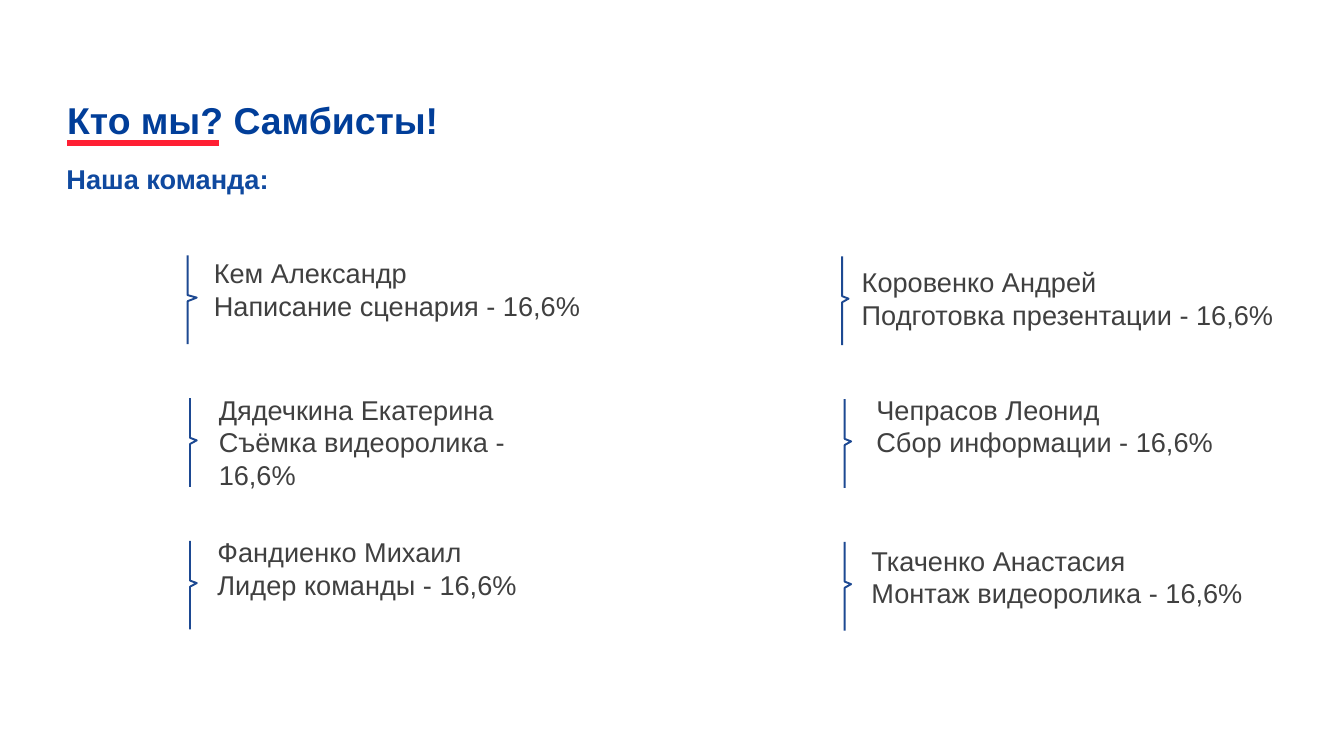
from pptx import Presentation, util as u
from pptx.dml.color import RGBColor
from pptx.enum import shapes, text
from pptx.oxml.ns import qn
from lxml import etree

prs = Presentation()
prs.slide_width, prs.slide_height = u.Inches(21.99), u.Inches(12.37)
s = prs.slides.add_slide(prs.slide_layouts[6])

# Grid of 100 columns by 100 rows
COL, ROW = prs.slide_width / 100, prs.slide_height / 100


def paint(color, value):
    color.rgb = RGBColor.from_string(value)


def add_text(x, y, w, h, lines, size, color, bold=False):
    sp = s.shapes.add_textbox(int(x * COL), int(y * ROW), int(w * COL), int(h * ROW))
    tf = sp.text_frame
    tf.word_wrap = True
    tf.auto_size = text.MSO_AUTO_SIZE.SHAPE_TO_FIT_TEXT
    for i, line in enumerate(lines):
        p = tf.add_paragraph() if i else tf.paragraphs[0]
        r = p.add_run()
        r.text = line
        r.font.name, r.font.size, r.font.bold = "Arial", u.Pt(size), bold
        paint(r.font.color, color)
    return tf


# Title with its red underline
tf = add_text(5, 12.77, 63.35, 5.74, ["Кто мы? Самбисты!"], 44, "013E99", True)
tf.margin_left = tf.margin_right = tf.margin_bottom = 0
tf.margin_top = u.Inches(0.01)
tf.paragraphs[0].line_spacing = 1.01

underline = s.shapes.add_connector(
    shapes.MSO_CONNECTOR.STRAIGHT,
    int(16.28 * COL), int(18.92 * ROW), int(5 * COL), int(18.92 * ROW))
underline.line.width = u.Pt(6)
paint(underline.line.color, "FF1F33")
etree.SubElement(underline._element.spPr, qn("a:effectLst"))

# Subtitle
add_text(4.5, 21.02, 16.55, 5.17, ["Наша команда:"], 32, "0F499F", True)

# Team: text left, top, width; bracket left, tip depth; name, task
team = [
    [(15.46, 33.55, 32.74, 13.96, 0.68, "Кем Александр", "Написание сценария"),
     (15.83, 51.58, 28.42, 14.14, 0.5, "Дядечкина Екатерина", "Съёмка видеоролика"),
     (15.73, 70.41, 32.2, 14.14, 0.5, "Фандиенко Михаил", "Лидер команды")],
    [(63.67, 34.76, 31.79, 62.66, 0.48, "Коровенко Андрей", "Подготовка презентации"),
     (64.76, 51.58, 32.74, 62.85, 0.48, "Чепрасов Леонид", "Сбор информации"),
     (64.39, 71.54, 32.74, 62.85, 0.48, "Ткаченко Анастасия", "Монтаж видеоролика")],
]
for side, members in enumerate(team):
    for i, (x, y, w, left, tip, name, task) in enumerate(members):
        add_text(x, y, w, 9.54, [name, f"{task} - 16,6%"], 32, "404040")

        # Bracket pointing at the member
        top = 33.79 + 18.88 * i + 0.14 * side
        outline = [(0, 11.72), (0, 6.06), (tip, 5.58), (0, 5.25), (0, 0)]
        points = [(int((left + dx) * COL), int((top + dy) * ROW)) for dx, dy in outline]
        builder = s.shapes.build_freeform(*points[0])
        builder.add_line_segments(points[1:], close=False)
        bracket = builder.convert_to_shape()
        bracket.shadow.inherit = False
        bracket.fill.background()
        bracket.line.width = u.Pt(2.25)
        paint(bracket.line.color, "1D4992")

prs.save("out.pptx")
